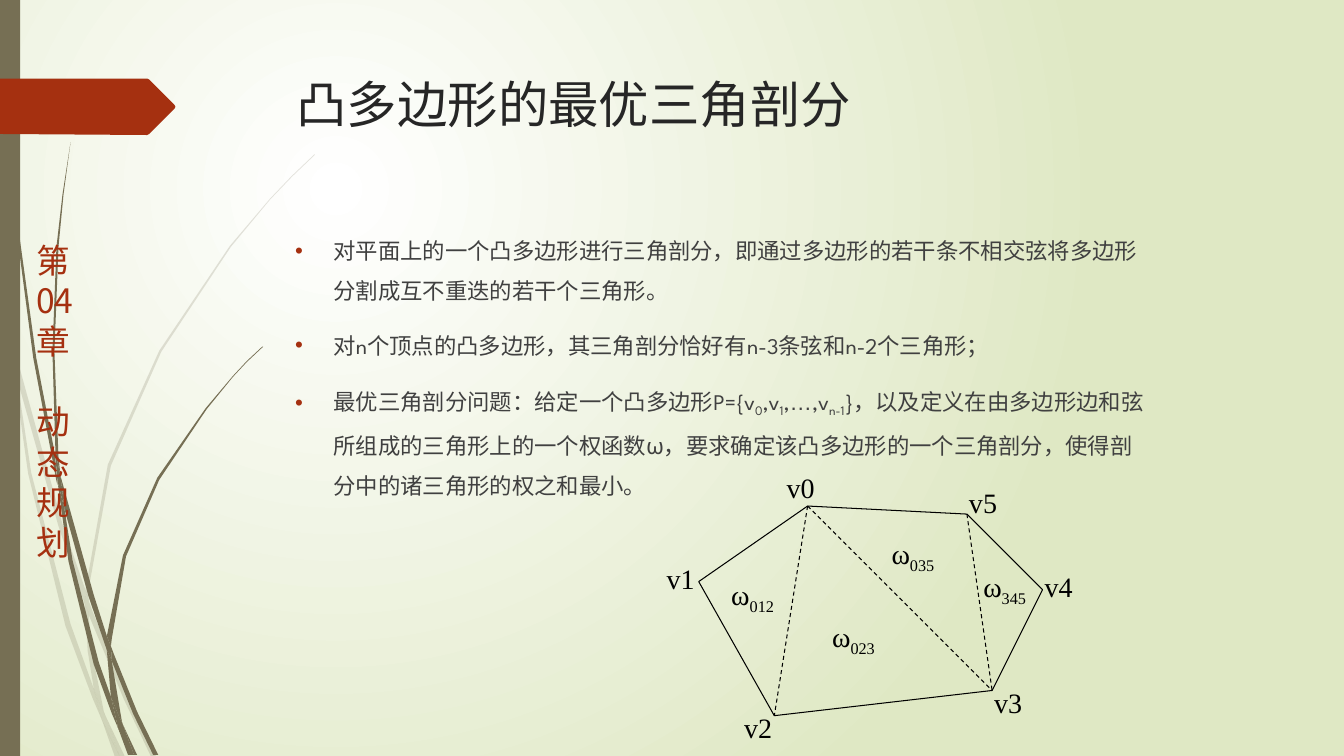
import lxml.etree
import pptx
import pptx.dml.color
import pptx.enum.dml
import pptx.enum.lang
import pptx.enum.shapes
import pptx.enum.text
import pptx.oxml.ns
import pptx.util

COLUMNS, ROWS = 1333, 750
CELL = pptx.util.Inches(0.01)
COLORS = {
    "glow": "FFFFFF", "meadow": "DFE8C4", "olive": "766F54", "rust": "A53010",
    "title": "262626", "body": "404040", "ink": "000000",
}
HEADING_FONT, CHAPTER_FONT, LABEL_FONT = "League Spartan", "Noto Sans CJK JP", "Times New Roman"
SUBSCRIPT = {"baseline": -25000}

PALE_BLADES = [
    "11,350 9,322 0,282 0,299 10,344",
    "58,522 84,599 85,586 62,520 14,345 17,376",
    "92,607 88,596 88,610 123,694 150,751 155,751 127,692",
    "119,751 124,751 105,711",
    "93,683 70,619 31,469 17,376 11,350 28,470 65,621 92,693 101,714 99,707",
    "84,599 87,646 93,683 96,692 105,711 103,706 91,646 88,610 88,608",
    "88,584 110,462 160,349 229,245 268,198 290,175 312,154 312,153 289,175 268,197 228,244 158,348 107,461 85,584 85,586 88,596",
    "101,714 114,751 119,751",
    "88,608 88,610 88,596 85,586 84,599",
    "96,692 93,683 99,707 101,714 119,751 105,711",
]
DARK_BLADES = [
    "7,110 17,233 33,355 56,477 57,481 55,457 55,453 36,355 19,232 8,109 5,48 4,0 3,0 4,48",
    "88,592 106,645 106,633 106,631 93,590 60,472 64,505",
    "113,649 110,641 111,656 132,708 152,749 157,749 136,706",
    "110,691 98,657 72,556 64,505 57,477 68,557 93,659 111,708 117,722 116,717",
    "60,472 58,453 54,349 58,245 63,193 70,141 62,193 56,245 52,349 55,449",
    "133,749 136,749 122,719",
    "57,477 64,505 60,472 55,449 55,453",
    "111,633 125,552 158,476 205,406 231,374 245,359 261,344 260,344 245,358 231,373 204,405 156,474 122,551 106,631 110,641",
    "117,722 127,749 131,749",
    "106,645 110,691 116,706 122,719 121,716 111,656 109,651",
    "106,645 109,651 111,656 110,641 106,631 106,633",
    "116,706 110,691 116,717 117,722 130,749 133,749 122,719",
]
CHAPTER_RIBBON = [(0, 78), (146, 78), (148, 79), (173, 104), (174, 106), (173, 108), (148, 133), (146, 134), (0, 133)]
VERTICES = {"v0": (801, 502), "v1": (693, 577), "v2": (768, 710),
            "v3": (984, 685), "v4": (1034, 585), "v5": (959, 510)}
VERTEX_LABELS = {"v0": (770, 462), "v1": (651, 552), "v2": (728, 700),
                 "v3": (976, 675), "v4": (1026, 560), "v5": (951, 477)}
WEIGHT_LABELS = {"012": (709, 568), "023": (809, 610), "035": (868, 527), "345": (959, 560)}
CHORDS = [("v0", "v2"), ("v0", "v3"), ("v5", "v3")]
STATEMENTS = [
    [("对平面上的一个凸多边形进行三角剖分，即通过多边形的若干条不相交弦将多边形分割成互不重迭的若干个三角形。", {})],
    [("对n个顶点的凸多边形，其三角剖分恰好有n-3条弦和n-2个三角形；", {})],
    [("最优三角剖分问题：给定一个凸多边形P={v", {}), ("0", SUBSCRIPT), (",v", {}), ("1", SUBSCRIPT),
     (",", {}), ("…", {"font": "Arial"}), (",v", {}), ("n-1", SUBSCRIPT),
     ("}，以及定义在由多边形边和弦所组成的三角形上的一个权函数ω，要求确定该凸多边形的一个三角剖分，使得剖分中的诸三角形的权之和最小。", {})],
]


def rgb(color):
    return pptx.dml.color.RGBColor.from_string(COLORS[color])


def cells(*counts):
    return [round(count * CELL) for count in counts]


def add_child(parent, tag, **attributes):
    child = lxml.etree.SubElement(parent, pptx.oxml.ns.qn(tag))
    for key, value in attributes.items():
        child.set(key, str(value))
    return child


def paint_background(slide):
    fill = slide.background.fill
    fill.gradient()
    for stop, position, color in zip(fill.gradient_stops, (0, 1), ("glow", "meadow")):
        stop.position = position
        stop.color.rgb = rgb(color)
    gradient = slide.element.find(".//" + pptx.oxml.ns.qn("a:gradFill"))
    gradient.remove(gradient.find(pptx.oxml.ns.qn("a:lin")))
    radial = add_child(gradient, "a:path", path="circle")
    add_child(radial, "a:fillToRect", l=50000, t=50000, r=100000, b=100000)


def add_outline(shapes, points, fill=None, line=None, alpha=None):
    builder = shapes.build_freeform(*points[0], scale=CELL)
    builder.add_line_segments(points[1:], close=True)
    outline = builder.convert_to_shape()
    outline.shadow.inherit = False
    if fill:
        outline.fill.solid()
        outline.fill.fore_color.rgb = rgb(fill)
    else:
        outline.fill.background()
    if line:
        outline.line.color.rgb = rgb(line)
        outline.line.width = pptx.util.Pt(0.75)
    else:
        outline.line.fill.background()
    if alpha:
        color = outline._element.spPr.find(".//" + pptx.oxml.ns.qn("a:srgbClr"))
        add_child(color, "a:alpha", val=alpha * 1000)


def add_blades(slide, blades, alpha=None):
    tuft = slide.shapes.add_group_shape()
    for blade in blades:
        points = [tuple(map(int, pair.split(","))) for pair in blade.split()]
        add_outline(tuft.shapes, points, "olive", alpha=alpha)


def add_run(paragraph, text, size, font, color, baseline=None):
    run = paragraph.add_run()
    run.text = text
    run.font.size = pptx.util.Pt(size)
    run.font.name = font
    run.font.color.rgb = rgb(color)
    run.font.language_id = pptx.enum.lang.MSO_LANGUAGE_ID.SIMPLIFIED_CHINESE
    if baseline:
        run.font._element.set("baseline", str(baseline))


def add_text_frame(shapes, left, top, width, height, wrap=False):
    frame = shapes.add_textbox(*cells(left, top, width, height)).text_frame
    frame.word_wrap = wrap
    if not wrap:
        frame.auto_size = pptx.enum.text.MSO_AUTO_SIZE.SHAPE_TO_FIT_TEXT
    return frame


def next_paragraph(frame, index):
    return frame.add_paragraph() if index else frame.paragraphs[0]


def add_edge_band(slide):
    band = slide.shapes.add_shape(pptx.enum.shapes.MSO_SHAPE.RECTANGLE, *cells(0, 0, 20, ROWS))
    band.shadow.inherit = False
    band.fill.solid()
    band.fill.fore_color.rgb = rgb("olive")
    band.line.fill.background()


def add_chapter(slide):
    frame = add_text_frame(slide.shapes, 26, 233, 59, 333)
    for index, word in enumerate(["第", "04", "章", "动", "态", "规", "划"]):
        paragraph = next_paragraph(frame, index)
        if word == "动":
            paragraph.space_before = pptx.util.Pt(29)
        add_run(paragraph, word, 24, CHAPTER_FONT, "rust")


def set_title(slide):
    title = slide.shapes.title
    title.left, title.top, title.width, title.height = cells(284, 68, 975, 140)
    frame = title.text_frame
    frame.auto_size = pptx.enum.text.MSO_AUTO_SIZE.NONE
    frame.vertical_anchor = pptx.enum.text.MSO_ANCHOR.TOP
    frame.paragraphs[0].alignment = pptx.enum.text.PP_ALIGN.LEFT
    add_run(frame.paragraphs[0], "凸多边形的最优三角剖分", 36, HEADING_FONT, "title")


def add_statements(slide):
    frame = add_text_frame(slide.shapes, 283, 217, 864, 324, wrap=True)
    indent = cells(38)[0]
    for index, statement in enumerate(STATEMENTS):
        paragraph = next_paragraph(frame, index)
        paragraph.line_spacing = 1.5
        paragraph.space_before = pptx.util.Pt(10)
        properties = paragraph._p.get_or_add_pPr()
        properties.set("marL", str(indent))
        properties.set("indent", str(-indent))
        add_child(add_child(properties, "a:buClr"), "a:srgbClr", val=COLORS["rust"])
        add_child(properties, "a:buFont", typeface="Arial")
        add_child(properties, "a:buChar", char="•")
        for text, look in statement:
            add_run(paragraph, text, **{"size": 16, "font": HEADING_FONT, "color": "body", **look})


def add_chord(shapes, start, end):
    chord = shapes.add_connector(pptx.enum.shapes.MSO_CONNECTOR.STRAIGHT,
                                 *cells(*VERTICES[start], *VERTICES[end]))
    chord.line.color.rgb = rgb("ink")
    chord.line.width = pptx.util.Pt(0.75)
    chord.line.dash_style = pptx.enum.dml.MSO_LINE.DASH
    add_child(chord._element.spPr, "a:effectLst")


def add_label(shapes, spot, width, text, subscript=None):
    paragraph = add_text_frame(shapes, *spot, width, 43).paragraphs[0]
    paragraph.alignment = pptx.enum.text.PP_ALIGN.CENTER
    add_run(paragraph, text, 20, LABEL_FONT, "ink")
    if subscript:
        add_run(paragraph, subscript, 20, LABEL_FONT, "ink", **SUBSCRIPT)


def add_triangulation(slide):
    shapes = slide.shapes.add_group_shape().shapes
    add_outline(shapes, list(VERTICES.values()), line="ink")
    for start, end in CHORDS:
        add_chord(shapes, start, end)
    for vertex, spot in VERTEX_LABELS.items():
        add_label(shapes, spot, 48, vertex)
    for triangle, spot in WEIGHT_LABELS.items():
        add_label(shapes, spot, 75, "ω", triangle)


def main():
    deck = pptx.Presentation()
    deck.slide_width, deck.slide_height = cells(COLUMNS, ROWS)
    slide = deck.slides.add_slide(deck.slide_layouts[5])
    paint_background(slide)
    add_blades(slide, PALE_BLADES, alpha=20)
    add_blades(slide, DARK_BLADES)
    add_edge_band(slide)
    add_chapter(slide)
    add_outline(slide.shapes, CHAPTER_RIBBON, "rust")
    set_title(slide)
    add_statements(slide)
    add_triangulation(slide)
    deck.save("out.pptx")


if __name__ == "__main__":
    main()
